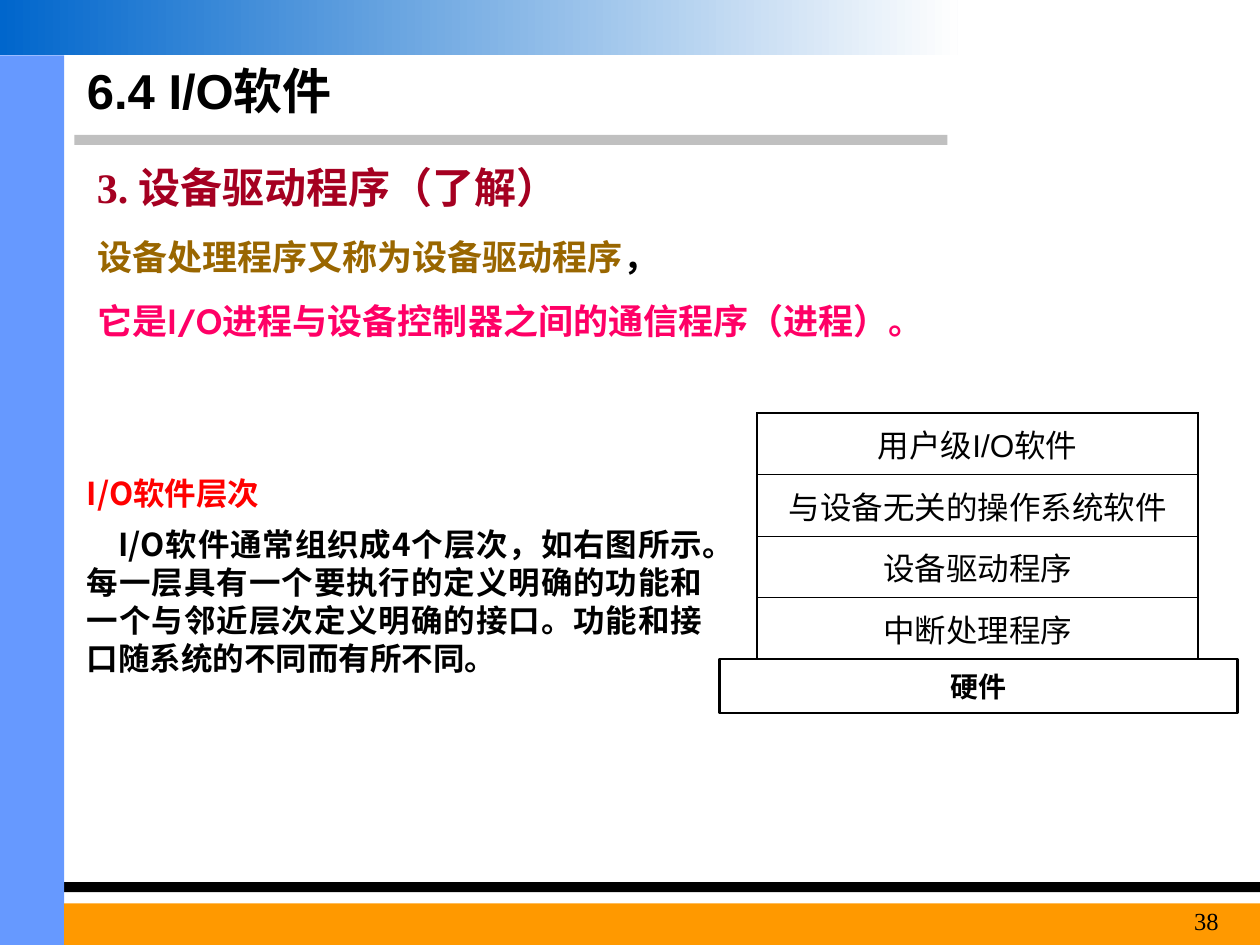
from dataclasses import dataclass

from lxml import etree
from pptx import Presentation
from pptx.dml.color import RGBColor
from pptx.enum.shapes import MSO_SHAPE
from pptx.enum.text import MSO_ANCHOR, PP_ALIGN
from pptx.oxml.ns import qn
from pptx.util import Inches, Pt

RECTANGLE = MSO_SHAPE.RECTANGLE
TOP, MIDDLE = MSO_ANCHOR.TOP, MSO_ANCHOR.MIDDLE
LEFT, CENTER = PP_ALIGN.LEFT, PP_ALIGN.CENTER
RIGHT, JUSTIFY = PP_ALIGN.RIGHT, PP_ALIGN.JUSTIFY
NOTO, ARIAL = "Noto Sans CJK SC", "Arial"
CABIN, TIMES = "Cabin", "Times New Roman"
BLACK = "000000"
TIGHT = (0.02, 0.01)
ROOMY = (0.1, 0.05)


@dataclass(frozen=True)
class Box:
    left: float
    top: float
    width: float
    height: float

    def lengths(self) -> tuple:
        return tuple(Inches(v) for v in (self.left, self.top, self.width, self.height))


@dataclass(frozen=True)
class Run:
    text: str
    size: float
    font: str = NOTO
    color: str = BLACK
    bold: bool = True


@dataclass(frozen=True)
class Para:
    runs: tuple[Run, ...]
    align: PP_ALIGN = LEFT
    before: float = 0
    line: float | None = None
    indent: float = 0


@dataclass(frozen=True)
class Bar:
    box: Box
    color: str


def rgb(color: str) -> RGBColor:
    return RGBColor.from_string(color)


def write(frame, paras: list[Para], inset=TIGHT, anchor=TOP, wrap=True) -> None:
    frame.word_wrap = wrap
    frame.vertical_anchor = anchor
    frame.margin_left = frame.margin_right = Inches(inset[0])
    frame.margin_top = frame.margin_bottom = Inches(inset[1])
    write_paras(frame, paras)


def write_paras(frame, paras: list[Para]) -> None:
    for index, para in enumerate(paras):
        line = frame.paragraphs[0] if index == 0 else frame.add_paragraph()
        line.alignment = para.align
        line.space_before = Pt(para.before)
        if para.line:
            line.line_spacing = Pt(para.line)
        if para.indent:
            line._p.get_or_add_pPr().set("indent", str(Inches(para.indent)))
        for item in para.runs:
            run = line.add_run()
            run.text = item.text
            run.font.size = Pt(item.size)
            run.font.bold = item.bold
            run.font.name = item.font
            run.font.color.rgb = rgb(item.color)
            east_asian = etree.SubElement(run._r.get_or_add_rPr(), qn("a:ea"))
            east_asian.set("typeface", NOTO)


def add_rectangle(slide, box: Box):
    shape = slide.shapes.add_shape(RECTANGLE, *box.lengths())
    shape.shadow.inherit = False
    shape.line.fill.background()
    return shape


def add_bar(slide, bar: Bar) -> None:
    shape = add_rectangle(slide, bar.box)
    shape.fill.solid()
    shape.fill.fore_color.rgb = rgb(bar.color)


def add_gradient_band(slide, box: Box, colors: tuple[str, str]) -> None:
    band = add_rectangle(slide, box)
    band.fill.gradient()
    band.fill.gradient_angle = 0
    for stop, color in zip(band.fill.gradient_stops, colors):
        stop.color.rgb = rgb(color)


def add_text(slide, box: Box, paras: list[Para], inset=TIGHT) -> None:
    write(slide.shapes.add_textbox(*box.lengths()).text_frame, paras, inset)


def set_borders(cell, widths: dict[str, float]) -> None:
    properties = cell._tc.get_or_add_tcPr()
    for index, (side, width) in enumerate(widths.items()):
        border = etree.Element(qn(f"a:ln{side}"), w=str(Pt(width)))
        fill = etree.SubElement(border, qn("a:solidFill"))
        etree.SubElement(fill, qn("a:srgbClr"), val=BLACK)
        properties.insert(index, border)


def add_layers(slide, box: Box, names: list[str]) -> None:
    thick, thin = 1.08, 0.45
    table = slide.shapes.add_table(len(names), 1, *box.lengths()).table
    table.first_row = table.horz_banding = False
    for index, name in enumerate(names):
        table.rows[index].height = Inches(box.height / len(names))
        cell = table.cell(index, 0)
        cell.fill.background()
        cell.vertical_anchor = MIDDLE
        cell.margin_left = cell.margin_right = Inches(0.02)
        cell.margin_top = cell.margin_bottom = Inches(0.05)
        write_paras(cell.text_frame, [Para((Run(name, 18, ARIAL, bold=False),), CENTER)])
        set_borders(cell, {
            "L": thick,
            "R": thick,
            "T": thick if index == 0 else thin,
            "B": thick if index == len(names) - 1 else thin,
        })


BARS = [
    Bar(Box(0.59, 1.07, 6.93, 0.08), "C0C0C0"),
    Bar(Box(0, 7, 10, 0.08), BLACK),
    Bar(Box(0, 0.44, 0.51, 7.06), "6699FF"),
    Bar(Box(0.51, 7.17, 9.49, 0.33), "FF9900"),
]
LAYERS = ["用户级I/O软件", "与设备无关的操作系统软件", "设备驱动程序", "中断处理程序"]
PINK = "FF0066"
DEFINITION = [
    Para((Run("设备处理程序又称为设备驱动程序", 20, color="996600"), Run("，", 20)), line=24),
    Para((
        Run("它是", 20, color=PINK),
        Run("I/O", 20, CABIN, PINK),
        Run("进程与设备控制器之间的通信程序（进程）。", 20, color=PINK),
    ), before=12.5, line=24),
]
LAYERING = [
    Para((Run("I/O软件层次", 18, color="FF0000"),), line=21.6),
    Para((Run(
        "I/O软件通常组织成4个层次，如右图所示。每一层具有一个要执行的定义明确的功能"
        "和一个与邻近层次定义明确的接口。功能和接口随系统的不同而有所不同。", 18),),
        JUSTIFY, before=7.9, line=21.6, indent=0.25),
]


def main() -> None:
    deck = Presentation()
    deck.slide_width, deck.slide_height = Inches(10), Inches(7.5)
    slide = deck.slides.add_slide(deck.slide_layouts[5])

    for bar in BARS:
        add_bar(slide, bar)
    add_gradient_band(slide, Box(0, 0, 7.6, 0.44), ("0066CC", "FEFEFE"))

    title = slide.shapes.title
    title.left, title.top, title.width, title.height = Box(0.59, 0.44, 6.85, 0.55).lengths()
    write(title.text_frame, [Para((Run("6.4 I/O软件", 28, ARIAL),))], ROOMY, MIDDLE)

    heading = Para((Run("3. 设备驱动程序（了解）", 24, TIMES, "A50021"),), line=28.8)
    add_text(slide, Box(0.67, 1.23, 4.8, 0.5), [heading], ROOMY)
    add_text(slide, Box(0.75, 1.86, 8.05, 0.86), DEFINITION)
    add_text(slide, Box(0.67, 3.75, 4.93, 1.63), LAYERING)

    add_layers(slide, Box(6.01, 3.28, 3.5, 1.95), LAYERS)
    hardware = add_rectangle(slide, Box(5.71, 5.23, 4.11, 0.43))
    hardware.fill.background()
    hardware.line.color.rgb = rgb(BLACK)
    hardware.line.width = Pt(1.5)
    write(hardware.text_frame, [Para((Run("硬件", 16, CABIN),), CENTER)],
          anchor=MIDDLE, wrap=False)

    page_number = Para((Run("38", 14, TIMES, bold=False),), RIGHT)
    add_text(slide, Box(8.86, 7.14, 0.91, 0.36), [page_number], ROOMY)
    deck.save("out.pptx")


if __name__ == "__main__":
    main()
